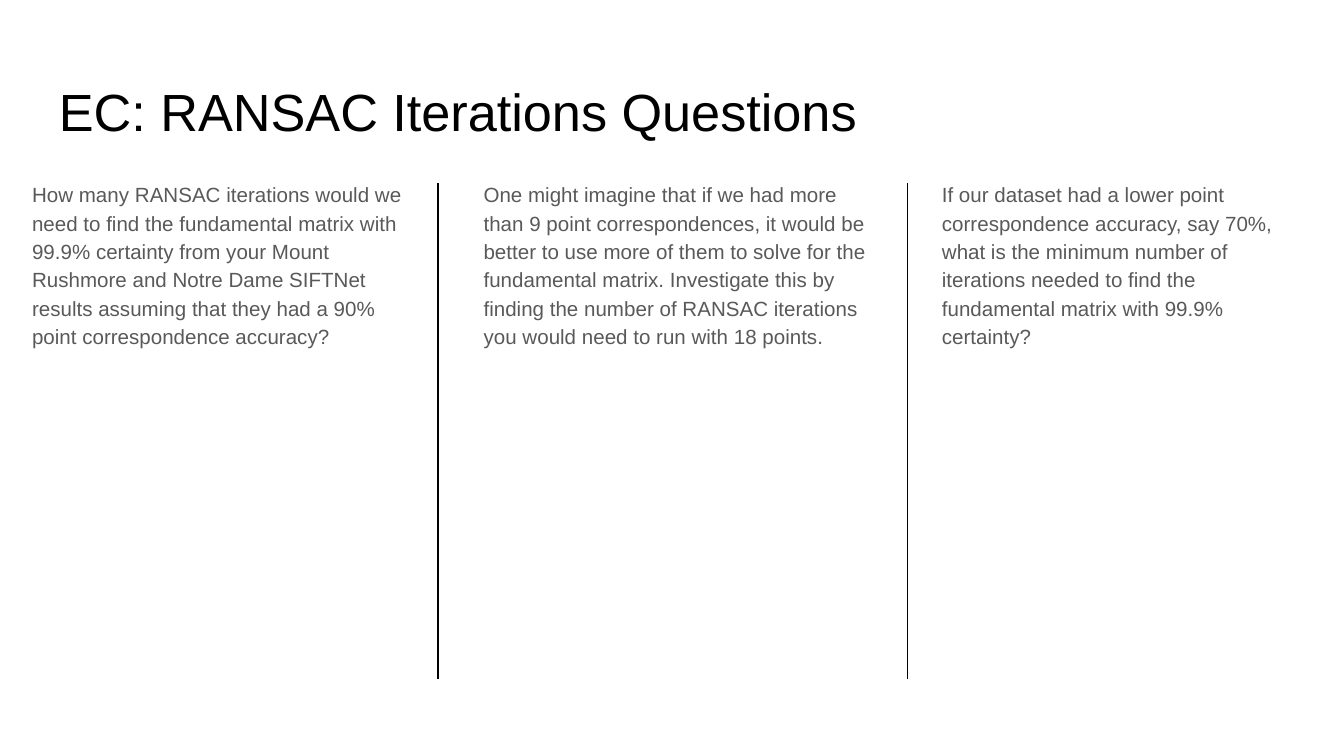
from dataclasses import dataclass

from lxml.etree import SubElement
from pptx import Presentation
from pptx.dml.color import RGBColor
from pptx.enum.shapes import MSO_CONNECTOR
from pptx.oxml.ns import qn
from pptx.slide import Slide
from pptx.util import Inches, Pt


@dataclass(frozen=True)
class Theme:
    font: str = "Arial"
    title_color: RGBColor = RGBColor(0x00, 0x00, 0x00)
    body_color: RGBColor = RGBColor(0x59, 0x59, 0x59)
    rule_color: RGBColor = RGBColor(0x00, 0x00, 0x00)
    title_size: float = 28
    body_size: float = 11
    body_spacing: float = 1.15
    rule_width: float = 0.75


@dataclass(frozen=True)
class Question:
    left: float
    width: float
    text: str


THEME = Theme()
SLIDE_WIDTH = 10
SLIDE_HEIGHT = SLIDE_WIDTH * 9 / 16
INSET = Inches(0.1)
COLUMN_TOP, COLUMN_HEIGHT, COLUMN_INDENT = 1.23, 3.74, 0.14
RULE_TOP, RULE_BOTTOM = 1.36, 5.05
RULE_POSITIONS = (3.26, 6.75)

TITLE = "EC: RANSAC Iterations Questions"
QUESTIONS = (
    Question(0, 3.13,
             "How many RANSAC iterations would we need to find the fundamental "
             "matrix with 99.9% certainty from your Mount Rushmore and Notre Dame "
             "SIFTNet results assuming that they had a 90% point correspondence "
             "accuracy?"),
    Question(3.36, 3.23,
             "One might imagine that if we had more than 9 point correspondences, "
             "it would be better to use more of them to solve for the fundamental "
             "matrix. Investigate this by finding the number of RANSAC iterations "
             "you would need to run with 18 points."),
    Question(6.77, 2.96,
             "If our dataset had a lower point correspondence accuracy, say 70%, "
             "what is the minimum number of iterations needed to find the "
             "fundamental matrix with 99.9% certainty?"),
)


def add_text(slide: Slide, left: float, top: float, width: float, height: float,
             text: str, size: float, color: RGBColor,
             spacing: float = 1.0, indent: float = 0) -> None:
    box = slide.shapes.add_textbox(Inches(left), Inches(top),
                                   Inches(width), Inches(height))
    frame = box.text_frame
    frame.word_wrap = True
    frame.margin_left = frame.margin_right = INSET
    frame.margin_top = frame.margin_bottom = INSET
    para = frame.paragraphs[0]
    para.text = text
    para.line_spacing = spacing
    if indent:
        properties = para._p.get_or_add_pPr()
        properties.set("marL", str(Inches(indent)))
        properties.set("indent", "0")
    font = para.runs[0].font
    font.name = THEME.font
    font.size = Pt(size)
    font.color.rgb = color


def add_rule(slide: Slide, x: float) -> None:
    """Draw a vertical divider between two question columns."""
    rule = slide.shapes.add_connector(MSO_CONNECTOR.STRAIGHT,
                                      Inches(x), Inches(RULE_TOP),
                                      Inches(x), Inches(RULE_BOTTOM))
    rule.line.color.rgb = THEME.rule_color
    rule.line.width = Pt(THEME.rule_width)
    SubElement(rule._element.spPr, qn("a:effectLst"))


def main() -> None:
    deck = Presentation()
    deck.slide_width = Inches(SLIDE_WIDTH)
    deck.slide_height = Inches(SLIDE_HEIGHT)
    slide = deck.slides.add_slide(deck.slide_layouts[6])

    add_text(slide, 0.34, 0.49, 9.32, 0.63, TITLE,
             THEME.title_size, THEME.title_color)
    for question in QUESTIONS:
        add_text(slide, question.left, COLUMN_TOP, question.width, COLUMN_HEIGHT,
                 question.text, THEME.body_size, THEME.body_color,
                 THEME.body_spacing, COLUMN_INDENT)
    for x in RULE_POSITIONS:
        add_rule(slide, x)

    deck.save("out.pptx")


if __name__ == "__main__":
    main()
